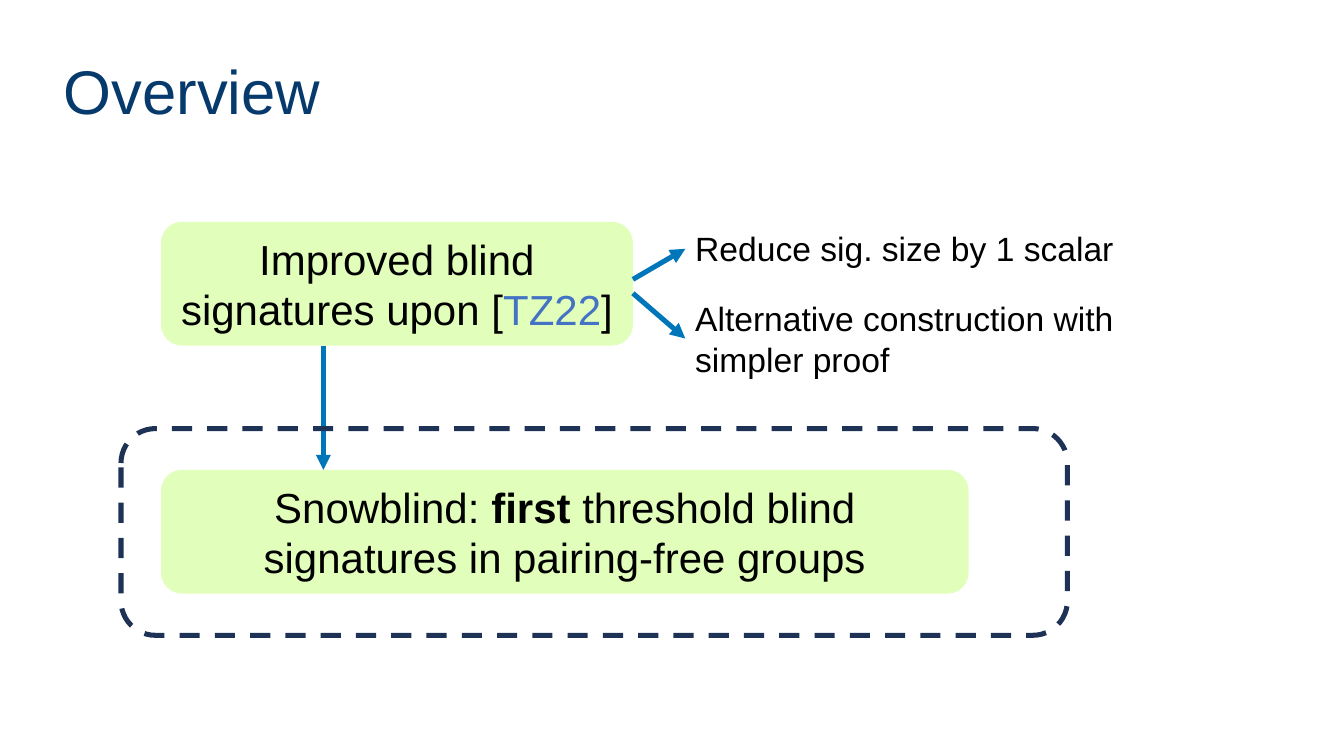
import pptx
import pptx.util
import pptx.dml.color
import pptx.enum.dml
import pptx.enum.shapes
import pptx.enum.text
import pptx.oxml
import pptx.oxml.ns

Cm, Pt = pptx.util.Cm, pptx.util.Pt
ROUND = pptx.enum.shapes.MSO_SHAPE.ROUNDED_RECTANGLE
MIDDLE = pptx.enum.text.MSO_ANCHOR.MIDDLE
ALIGN = pptx.enum.text.PP_ALIGN
BLACK, GREEN, BLUE, NAVY = "000000", "E1FFBA", "0076BA", "1E3256"


def paint(color, value):
    color.rgb = pptx.dml.color.RGBColor.from_string(value)


def style(run, size, value, bold=False):
    run.font.name = "Arial"
    run.font.size = Pt(size)
    run.font.bold = bold
    paint(run.font.color, value)


deck = pptx.Presentation()
deck.slide_width, deck.slide_height = Cm(33.87), Cm(19.05)
slide = deck.slides.add_slide(deck.slide_layouts[5])
shapes = slide.shapes

# Title
title = shapes.title
title.left, title.top, title.width, title.height = Cm(1.35), Cm(1.02), Cm(31.83), Cm(2.72)
title.text_frame.text = "Overview"
title.text_frame.vertical_anchor = MIDDLE
head = title.text_frame.paragraphs[0]
head.alignment = ALIGN.LEFT
head.line_spacing = 0.9
style(head.runs[0], 44, "073A6C")

# Green boxes: top, width, runs of text, colour and weight
boxes = [
    (5.59, 11.89, [("Improved blind signatures upon [", BLACK, False),
                   ("TZ22", "4472C4", False), ("]", BLACK, False)]),
    (11.84, 20.35, [("Snowblind: ", BLACK, False), ("first", BLACK, True),
                    (" threshold blind signatures in pairing-free groups", BLACK, False)]),
]
for top, width, parts in boxes:
    box = shapes.add_shape(ROUND, Cm(4.06), Cm(top), Cm(width), Cm(3.12))
    box.adjustments[0] = 0.168
    box.shadow.inherit = False
    box.fill.solid()
    paint(box.fill.fore_color, GREEN)
    box.line.fill.background()
    box.text_frame.word_wrap = True
    box.text_frame.vertical_anchor = MIDDLE
    para = box.text_frame.paragraphs[0]
    para.alignment = ALIGN.CENTER
    for text, color, bold in parts:
        run = para.add_run()
        run.text = text
        style(run, 30, color, bold)

# Notes on the right
notes = [
    (5.61, 12.55, 1.32, "Reduce sig. size by 1 scalar"),
    (7.39, 13.41, 2.31, "Alternative construction with simpler proof"),
]
for top, width, height, text in notes:
    note = shapes.add_textbox(Cm(17.27), Cm(top), Cm(width), Cm(height))
    note.text_frame.word_wrap = True
    note.text_frame.text = text
    style(note.text_frame.paragraphs[0].runs[0], 24, BLACK)

# Arrows from the first box
arrows = [(8.15, 8.71, 8.15, 11.84), (15.95, 7.04, 17.27, 6.27), (15.95, 7.39, 17.27, 8.53)]
for ends in arrows:
    arrow = shapes.add_connector(pptx.enum.shapes.MSO_CONNECTOR.STRAIGHT, *map(Cm, ends))
    arrow.line.width = Pt(3.6)
    paint(arrow.line.color, BLUE)
    tip = pptx.oxml.parse_xml(f'<a:tailEnd {pptx.oxml.ns.nsdecls("a")} type="triangle"/>')
    arrow.line._get_or_add_ln().append(tip)
    flat = pptx.oxml.parse_xml(f'<a:effectLst {pptx.oxml.ns.nsdecls("a")}/>')
    arrow._element.spPr.append(flat)

# Dashed frame
frame = shapes.add_shape(ROUND, Cm(3.05), Cm(10.8), Cm(23.85), Cm(5.21))
frame.shadow.inherit = False
frame.fill.background()
frame.line.width = Pt(3.6)
paint(frame.line.color, NAVY)
frame.line.dash_style = pptx.enum.dml.MSO_LINE.DASH

deck.save("out.pptx")
